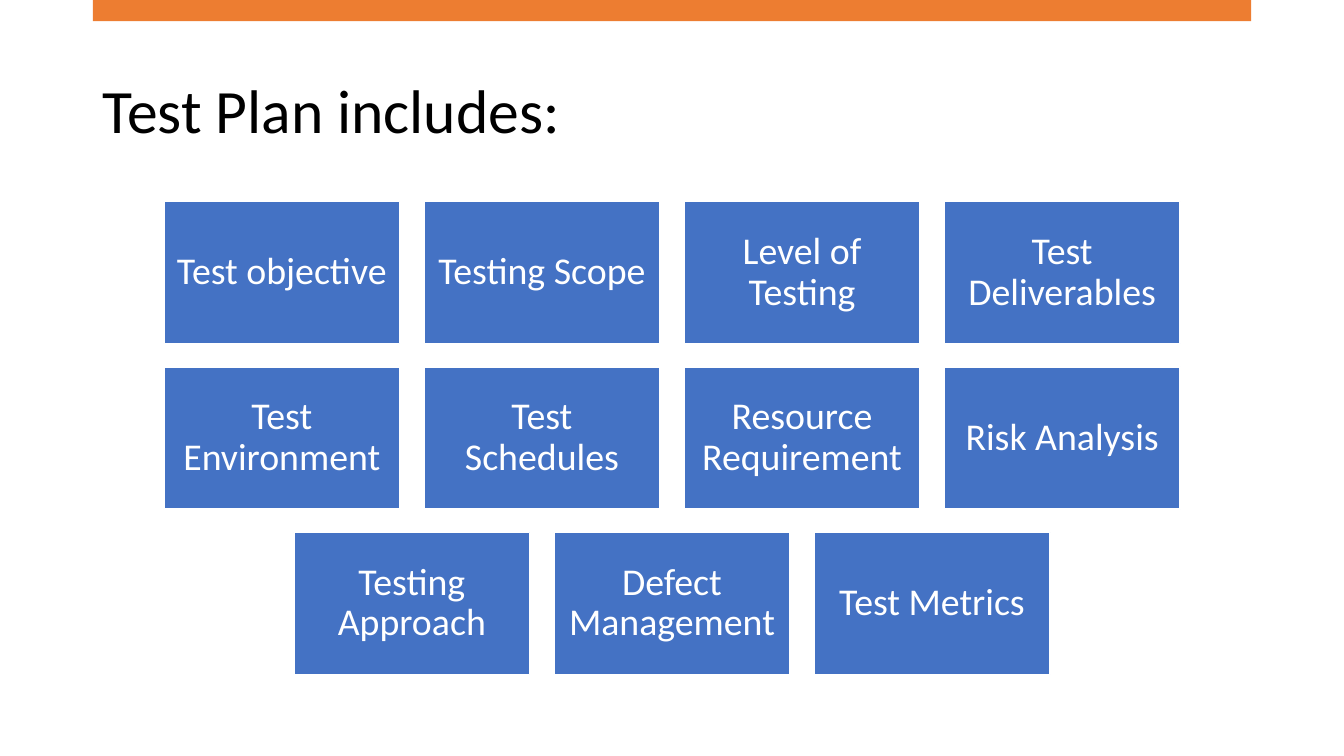
import pptx
import pptx.util
import pptx.dml.color
import pptx.enum.shapes
import pptx.enum.text
from pptx.util import Inches

TITLE = "Test Plan includes:"
PLAN_ROWS = [
    ["Test objective", "Testing Scope", "Level of Testing", "Test Deliverables"],
    ["Test Environment", "Test Schedules", "Resource Requirement", "Risk Analysis"],
    ["Testing Approach", "Defect Management", "Test Metrics"],
]
THEME = {
    "font": "Calibri",
    "title_size": 44,
    "tile_size": 27,
    "title": "000000",
    "tile": "4472C4",
    "tile_text": "FFFFFF",
    "accent": "ED7D31",
}

SLIDE_WIDTH, SLIDE_HEIGHT = 13.33, 7.5
TILE_WIDTH, TILE_HEIGHT = 2.34, 1.41
COLUMN_PITCH, ROW_PITCH = 2.58, 1.64
GRID_TOP = 2
TILE_INSET = 0.11


def color(name):
    return pptx.dml.color.RGBColor.from_string(THEME[name])


def write(frame, wording, size, ink, align):
    frame.word_wrap = True
    frame.vertical_anchor = pptx.enum.text.MSO_ANCHOR.MIDDLE
    frame.text = wording
    line = frame.paragraphs[0]
    line.alignment = align
    line.line_spacing = 0.9
    font = line.runs[0].font
    font.name = THEME["font"]
    font.size = pptx.util.Pt(THEME[size])
    font.color.rgb = color(ink)


def add_block(slide, left, top, width, height, fill):
    block = slide.shapes.add_shape(
        pptx.enum.shapes.MSO_SHAPE.RECTANGLE,
        Inches(left), Inches(top), Inches(width), Inches(height))
    block.shadow.inherit = False
    block.fill.solid()
    block.fill.fore_color.rgb = color(fill)
    block.line.fill.background()
    return block


def add_tile(slide, topic, left, top):
    tile = add_block(slide, left, top, TILE_WIDTH, TILE_HEIGHT, "tile")
    tile.line.color.rgb = color("tile_text")
    tile.line.width = pptx.util.Pt(1)
    frame = tile.text_frame
    frame.margin_left = frame.margin_right = Inches(TILE_INSET)
    frame.margin_top = frame.margin_bottom = Inches(TILE_INSET)
    write(frame, topic, "tile_size", "tile_text", pptx.enum.text.PP_ALIGN.CENTER)


def main():
    deck = pptx.Presentation()
    deck.slide_width = Inches(SLIDE_WIDTH)
    deck.slide_height = Inches(SLIDE_HEIGHT)
    slide = deck.slides.add_slide(deck.slide_layouts[6])

    heading = slide.shapes.add_textbox(
        Inches(0.92), Inches(0.4), Inches(11.5), Inches(1.45))
    write(heading.text_frame, TITLE, "title_size", "title",
          pptx.enum.text.PP_ALIGN.LEFT)

    for row, topics in enumerate(PLAN_ROWS):
        row_width = (len(topics) - 1) * COLUMN_PITCH + TILE_WIDTH
        row_left = (SLIDE_WIDTH - row_width) / 2
        for column, topic in enumerate(topics):
            add_tile(slide, topic, row_left + column * COLUMN_PITCH,
                     GRID_TOP + row * ROW_PITCH)

    add_block(slide, 0.92, 0, 11.49, 0.21, "accent")
    deck.save("out.pptx")


if __name__ == "__main__":
    main()
